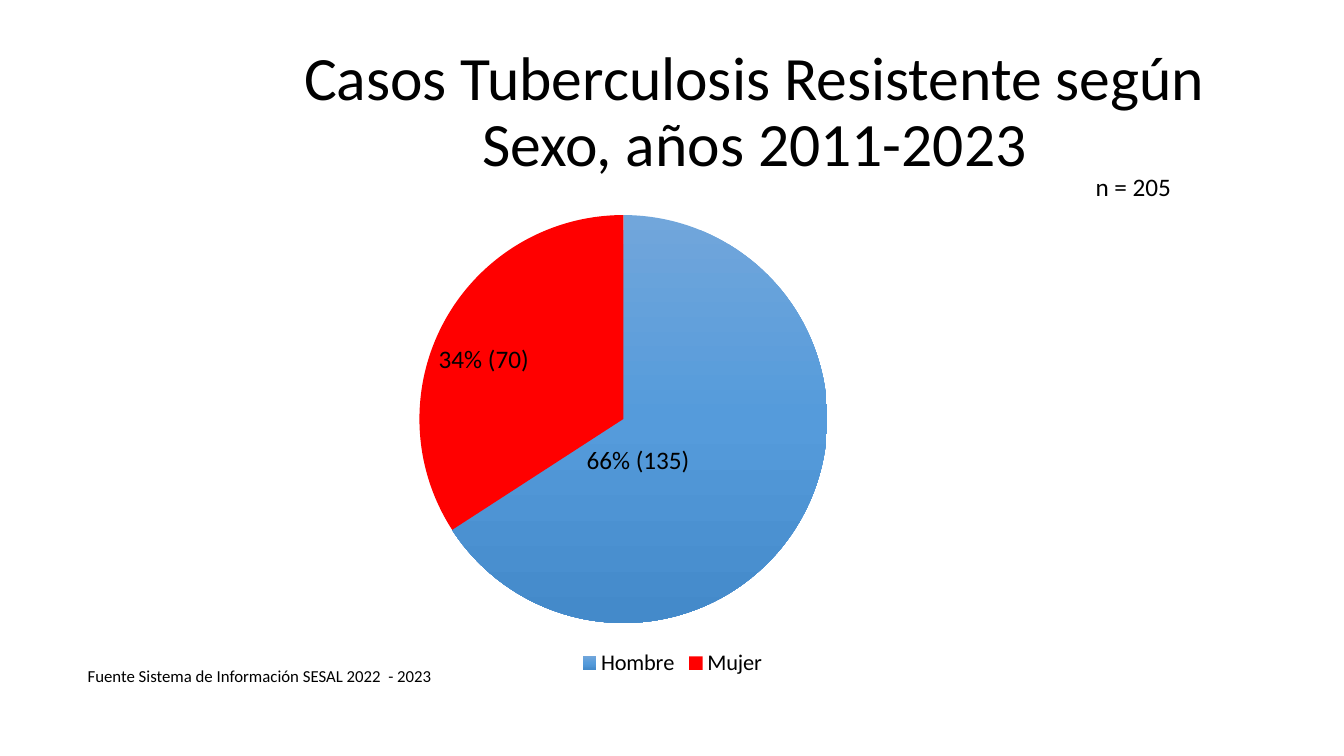
import copy
import pptx
import pptx.chart.data
import pptx.dml.color
import pptx.enum.chart
import pptx.enum.text
import pptx.oxml
import pptx.oxml.ns
import pptx.util

Cm = pptx.util.Cm
Pt = pptx.util.Pt
POSITION = pptx.enum.chart.XL_LABEL_POSITION
FONT = "Calibri"
BLACK = "000000"
RED = "FF0000"
BLUE_STOPS = ["71A6DB", "559BDB", "448ACA"]
CASES = {"Hombre": 135, "Mujer": 70}
LABEL_SHIFTS = [(-1.89, -0.17), (-1.26, -0.28)]
PIE_LEFT, PIE_TOP, PIE_SIZE = 8.23, 0.34, 10.28


def rgb(value):
    return pptx.dml.color.RGBColor.from_string(value)


def style_font(font, size, color=BLACK):
    font.name = FONT
    font.size = Pt(size)
    font.color.rgb = rgb(color)


def add_text(slide, text, box, size=18, color=BLACK, align="LEFT",
             anchor="TOP", spacing=1.0):
    s = slide.shapes.add_textbox(*map(Cm, box))
    tf = s.text_frame
    tf.word_wrap = True
    tf.vertical_anchor = getattr(pptx.enum.text.MSO_ANCHOR, anchor)
    p = tf.paragraphs[0]
    p.alignment = getattr(pptx.enum.text.PP_ALIGN, align)
    p.line_spacing = spacing
    r = p.add_run()
    r.text = text
    style_font(r.font, size, color)


def manual_layout(**values):
    fields = "".join(f'<c:{key} val="{val}"/>' for key, val in values.items())
    return pptx.oxml.parse_xml(
        f'<c:layout {pptx.oxml.ns.nsdecls("c")}>'
        f"<c:manualLayout>{fields}</c:manualLayout></c:layout>")


def fill_gradient(chart, point, colors):
    fill = point.format.fill
    fill.gradient()
    fill.gradient_angle = 270
    stop_list = chart.element.xpath(".//c:dPt//a:gsLst")[0]
    stop_list.insert(1, copy.deepcopy(stop_list[0]))
    for i, (stop, color) in enumerate(zip(fill.gradient_stops, colors)):
        stop.position = i / (len(colors) - 1)
        stop.color.rgb = rgb(color)


def add_label(point, text):
    label = point.data_label
    r = label.text_frame.paragraphs[0].add_run()
    r.text = text
    style_font(r.font, 18)
    label.position = POSITION.CENTER


def add_sex_pie(slide, box):
    width, height = box[2:]
    data = pptx.chart.data.CategoryChartData()
    data.categories = list(CASES)
    data.add_series("Series 1", list(CASES.values()))
    chart = slide.shapes.add_chart(
        pptx.enum.chart.XL_CHART_TYPE.PIE, *map(Cm, box), data).chart
    style_font(chart.font, 16)
    chart.has_title = False
    chart.has_legend = True
    chart.legend.position = pptx.enum.chart.XL_LEGEND_POSITION.BOTTOM
    chart.legend.include_in_layout = False
    style_font(chart.legend.font, 16)

    plot = chart.plots[0]
    plot.vary_by_categories = True
    series = plot.series[0]
    points = series.points
    fill_gradient(chart, points[0], BLUE_STOPS)
    points[1].format.fill.solid()
    points[1].format.fill.fore_color.rgb = rgb(RED)

    labels = series.data_labels
    labels.show_value = True
    labels.position = POSITION.BEST_FIT
    style_font(labels.font, 18)
    total = sum(CASES.values())
    for i, count in enumerate(CASES.values()):
        add_label(points[i], f"{count / total:.0%} ({count})")
    for label, (x, y) in zip(chart.element.xpath(".//c:dLbl"), LABEL_SHIFTS):
        label.insert(1, manual_layout(x=x / width, y=y / height))

    area = chart.element.xpath(".//c:plotArea")[0]
    for old in area.xpath("./c:layout"):
        area.remove(old)
    area.insert(0, manual_layout(
        layoutTarget="inner", xMode="edge", yMode="edge",
        x=PIE_LEFT / width, y=PIE_TOP / height,
        w=PIE_SIZE / width, h=PIE_SIZE / height))


def add_pie_slide(prs):
    slide = prs.slides.add_slide(prs.slide_layouts[6])
    add_text(slide, "Casos Tuberculosis Resistente según Sexo, años 2011-2023",
             (6.5, 1.02, 25.04, 3.68), size=44, align="CENTER",
             anchor="MIDDLE", spacing=0.9)
    add_sex_pie(slide, (2.34, 5.08, 29.21, 12.09))
    add_text(slide, f"n = {sum(CASES.values())}", (27.36, 4.19, 3.38, 1.02))
    add_text(slide, "Fuente Sistema de Información SESAL 2022  - 2023",
             (1.96, 16.66, 24.1, 0.76), size=12)


def main():
    prs = pptx.Presentation()
    prs.slide_width = Cm(33.87)
    prs.slide_height = Cm(19.05)
    add_pie_slide(prs)
    prs.save("out.pptx")


if __name__ == "__main__":
    main()
